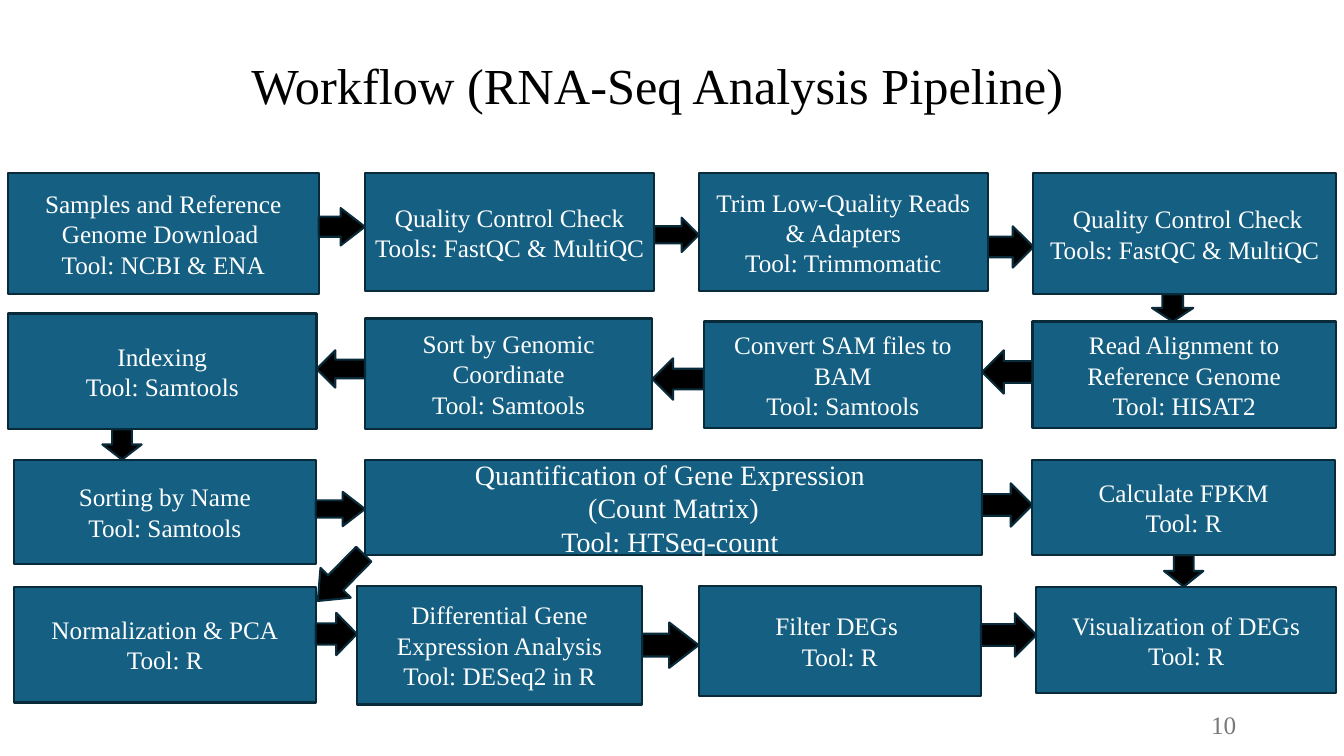
import dataclasses

import pptx
import pptx.dml.color
import pptx.enum.shapes
import pptx.enum.text
import pptx.util

FONT = "Times New Roman"
BOX_FILL, BOX_EDGE = "156082", "092A39"
BLACK, WHITE, GREY = "000000", "FFFFFF", "797979"

COLUMN_LEFTS = (0.08, 3.62, 6.93, 10.25)
ROW_TOPS = (1.72, 3.16, 4.56, 5.81)

ALIGN = pptx.enum.text.PP_ALIGN
SHAPE = pptx.enum.shapes.MSO_SHAPE


@dataclasses.dataclass
class Step:
    """A workflow box: grid cell, size, lines and its small shift off the grid."""
    column: int
    row: int
    width: float
    height: float
    lines: str
    shift_x: float = 0
    shift_y: float = 0
    size: int = 18

    @property
    def left(self):
        return COLUMN_LEFTS[self.column] + self.shift_x

    @property
    def top(self):
        return ROW_TOPS[self.row] + self.shift_y

    @property
    def right(self):
        return self.left + self.width

    @property
    def bottom(self):
        return self.top + self.height


STEPS = {
    "download": Step(0, 0, 3.08, 1.2, "Samples and Reference Genome Download \nTool: NCBI & ENA"),
    "raw check": Step(1, 0, 2.87, 1.17, "Quality Control Check\nTools: FastQC & MultiQC"),
    "trim": Step(2, 0, 2.87, 1.17, "Trim Low-Quality Reads & Adapters\nTool: Trimmomatic"),
    "trimmed check": Step(3, 0, 3, 1.2, " Quality Control Check\nTools: FastQC & MultiQC"),
    "align": Step(3, 1, 3.01, 1.06, "Read Alignment to Reference Genome\nTool: HISAT2", -0.01, 0.03),
    "convert": Step(2, 1, 2.76, 1.06, "Convert SAM files to BAM\nTool: Samtools", 0.05, 0.03),
    "sort position": Step(1, 1, 2.85, 1.1, "Sort by Genomic Coordinate\nTool: Samtools"),
    "index": Step(0, 1, 3.06, 1.15, "Indexing\nTool: Samtools", 0, -0.05),
    "sort name": Step(0, 2, 2.99, 1.04, "Sorting by Name\nTool: Samtools", 0.06),
    "quantify": Step(1, 2, 6.12, 0.95, "Quantification of Gene Expression \n(Count Matrix)\n"
                     "Tool: HTSeq-count ", size=20),
    "fpkm": Step(3, 2, 3, 0.95, "Calculate FPKM\nTool: R", -0.01),
    "normalize": Step(0, 3, 2.99, 1.15, "Normalization & PCA\nTool: R", 0.06, 0.01),
    "differential": Step(1, 3, 2.83, 1.18, "Differential Gene Expression Analysis\n"
                         "Tool: DESeq2 in R", -0.08),
    "filter": Step(2, 3, 2.8, 1.1, "Filter DEGs \nTool: R"),
    "visualize": Step(3, 3, 2.97, 1.06, "Visualization of DEGs\nTool: R", 0.03, 0.01),
}

# source, target, centre across the flow, thickness, then shaft and head proportions
FLOWS = (
    ("download", "raw check", 2.25, 0.37, 0.54, 0.65),
    ("raw check", "trim", 2.33, 0.34),
    ("trim", "trimmed check", 2.45, 0.41),
    ("trimmed check", "align", 11.63, 0.41),
    ("align", "convert", 3.69, 0.43),
    ("convert", "sort position", 3.76, 0.41),
    ("sort position", "index", 3.66, 0.37),
    ("index", "sort name", 1.21, 0.39),
    ("sort name", "quantify", 5.05, 0.34, 0.5, 0.65),
    ("quantify", "fpkm", 5.01, 0.43),
    ("fpkm", "visualize", 11.74, 0.39),
    ("normalize", "differential", 6.29, 0.42),
    ("differential", "filter", 6.4, 0.45, 0.5, 0.65),
    ("filter", "visualize", 6.3, 0.43),
)


def color(hex_code):
    return pptx.dml.color.RGBColor.from_string(hex_code)


def inches(*lengths):
    return [pptx.util.Inches(length) for length in lengths]


def write(frame, text, size, hex_code, align):
    frame.text = text
    frame.word_wrap = True
    frame.vertical_anchor = pptx.enum.text.MSO_ANCHOR.MIDDLE
    for paragraph in frame.paragraphs:
        paragraph.alignment = align
        for run in paragraph.runs:
            run.font.name = FONT
            run.font.size = pptx.util.Pt(size)
            run.font.color.rgb = color(hex_code)


def add_block(slide, preset, place, fill):
    block = slide.shapes.add_shape(preset, *inches(*place))
    block.shadow.inherit = False
    block.fill.solid()
    block.fill.fore_color.rgb = color(fill)
    block.line.color.rgb = color(BOX_EDGE)
    block.line.width = pptx.util.Pt(1.5)
    return block


def add_step(slide, step):
    box = add_block(slide, SHAPE.RECTANGLE,
                    (step.left, step.top, step.width, step.height), BOX_FILL)
    write(box.text_frame, step.lines, step.size, WHITE, ALIGN.CENTER)


def add_arrow(slide, center, length, thickness, angle, shaft=0.5, head=0.5):
    x, y = center
    arrow = add_block(slide, SHAPE.RIGHT_ARROW,
                      (x - length / 2, y - thickness / 2, length, thickness), BLACK)
    arrow.rotation = angle
    arrow.adjustments[0] = shaft
    arrow.adjustments[1] = head


def add_flow(slide, source, target, across, thickness, *proportions):
    """Fill the gap between two neighbouring steps with an arrow."""
    if source.row != target.row:
        start, end, angle = source.bottom, target.top, 90
        center = (across, (start + end) / 2)
    else:
        if source.column < target.column:
            start, end, angle = source.right, target.left, 0
        else:
            start, end, angle = target.right, source.left, 180
        center = ((start + end) / 2, across)
    add_arrow(slide, center, end - start, thickness, angle, *proportions)


def add_title(slide, text):
    title = slide.shapes.title
    title.left, title.top, title.width, title.height = inches(0.86, 0.25, 11.45, 1.24)
    write(title.text_frame, text, 36, BLACK, ALIGN.CENTER)
    title.text_frame.paragraphs[0].line_spacing = 0.9


def add_page_number(slide, number):
    page = slide.shapes.add_textbox(*inches(10.93, 6.99, 1.43, 0.4))
    write(page.text_frame, number, 18, GREY, ALIGN.RIGHT)


def main():
    deck = pptx.Presentation()
    deck.slide_width, deck.slide_height = inches(13.33, 7.5)
    slide = deck.slides.add_slide(deck.slide_layouts[5])
    add_title(slide, "Workflow (RNA-Seq Analysis Pipeline) ")
    add_page_number(slide, "10")
    for step in STEPS.values():
        add_step(slide, step)
    for source, target, *form in FLOWS:
        add_flow(slide, STEPS[source], STEPS[target], *form)
    # Diagonal branch from quantification to normalization
    add_arrow(slide, (3.38, 5.73), 0.65, 0.42, 134.5, head=0.6)
    deck.save("out.pptx")


if __name__ == "__main__":
    main()
